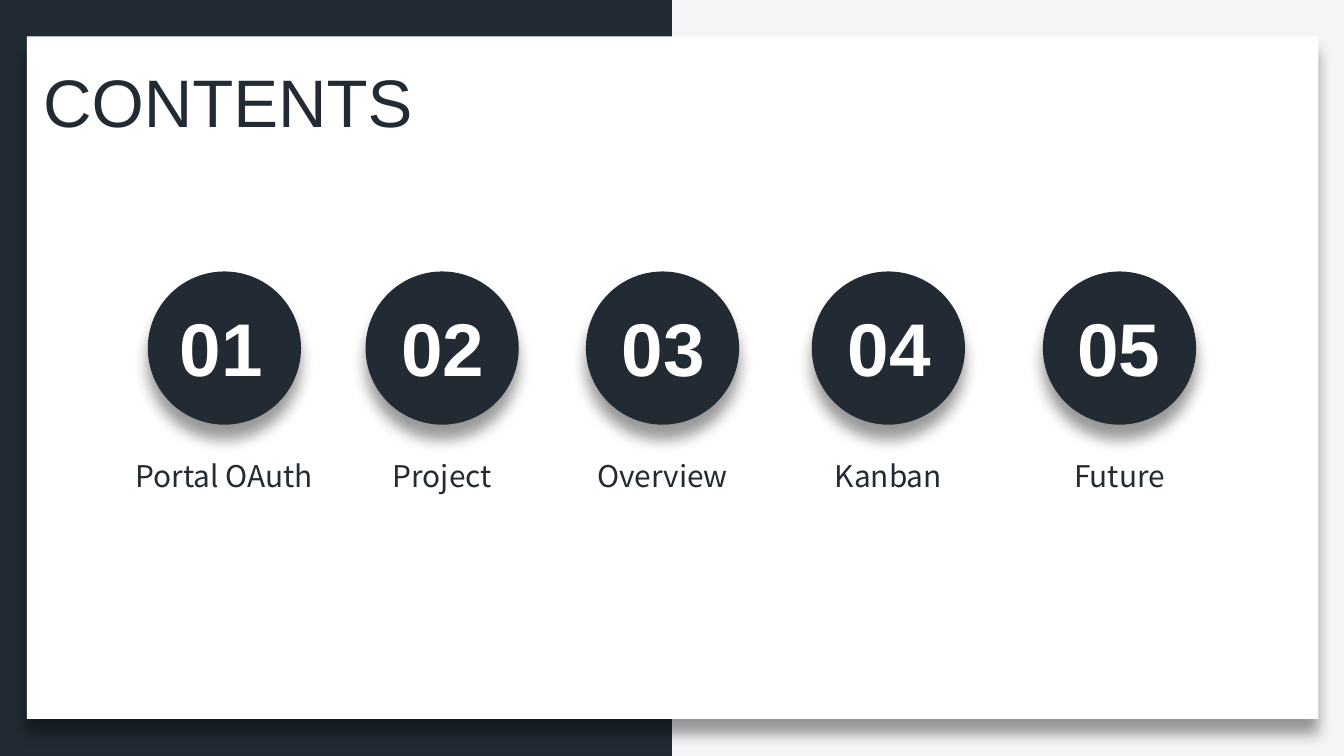
from lxml import etree
from pptx import Presentation
from pptx.dml.color import RGBColor
from pptx.enum.shapes import MSO_SHAPE
from pptx.enum.text import MSO_ANCHOR, MSO_AUTO_SIZE, PP_ALIGN
from pptx.oxml.ns import qn
from pptx.util import Inches, Pt

RECT, OVAL = MSO_SHAPE.RECTANGLE, MSO_SHAPE.OVAL
LEFT, CENTER = PP_ALIGN.LEFT, PP_ALIGN.CENTER
TOP = MSO_ANCHOR.TOP
GROW = MSO_AUTO_SIZE.SHAPE_TO_FIT_TEXT

NAVY = RGBColor(0x22, 0x2B, 0x34)
PALE = RGBColor(0xF6, 0xF4, 0xF7)
WHITE = RGBColor(0xFF, 0xFF, 0xFF)
HEAD_FONT = "Arial"
BODY_FONT = "Noto Sans CJK SC"

WIDTH = 10
HEIGHT = WIDTH * 9 / 16
DISC = 1.14
NUM_WIDTH = 0.83

# circle left, number left, label, label width
ITEMS = [
    (1.10, 1.23, "Portal OAuth", 1.73),
    (2.72, 2.88, "Project", 0.95),
    (4.36, 4.52, "Overview", 1.21),
    (6.04, 6.20, "Kanban", 1.01),
    (7.76, 7.91, "Future", 0.89),
]


def add_shadow(shape):
    """Cast a soft black shadow straight down."""
    effects = shape.element.spPr.find(qn("a:effectLst"))
    outer = etree.SubElement(
        effects, qn("a:outerShdw"), blurRad=str(Pt(8)), dist=str(Pt(8)),
        dir="5400000", algn="t", rotWithShape="0")
    color = etree.SubElement(outer, qn("a:srgbClr"), val="000000")
    etree.SubElement(color, qn("a:alpha"), val="40000")


def add_block(slide, kind, box, fill, shadow=False):
    shape = slide.shapes.add_shape(kind, *map(Inches, box))
    shape.shadow.inherit = False
    shape.fill.solid()
    shape.fill.fore_color.rgb = fill
    shape.line.fill.background()
    if shadow:
        add_shadow(shape)
    return shape


def write(shape, text, size, font, color, align, bold=False):
    frame = shape.text_frame
    frame.word_wrap = False
    frame.auto_size = GROW
    frame.vertical_anchor = TOP
    para = frame.paragraphs[0]
    para.alignment = align
    run = para.add_run()
    run.text = text
    run.font.size = Pt(size)
    run.font.name = font
    run.font.bold = bold
    run.font.color.rgb = color


def add_label(slide, box, *style, **extra):
    label = slide.shapes.add_textbox(*map(Inches, box))
    write(label, *style, **extra)


def add_frame(slide):
    """Lay the dark half and the white panel behind the title."""
    back = slide.background.fill
    back.solid()
    back.fore_color.rgb = PALE
    half = add_block(slide, RECT, (0, 0, WIDTH / 2, HEIGHT), NAVY)
    panel = add_block(slide, RECT, (0.2, 0.27, 9.61, 5.08), WHITE, True)
    for shape in (half, panel):
        slide.shapes.title.element.addprevious(shape.element)


def set_title(slide, text):
    title = slide.shapes.title
    title.left, title.top = Inches(0.22), Inches(0.4)
    title.width, title.height = Inches(2.98), Inches(0.71)
    write(title, text, 36, HEAD_FONT, NAVY, LEFT)


def add_item(slide, num, left, num_left, text, width):
    add_block(slide, OVAL, (left, 2.02, DISC, DISC), NAVY, True)
    text_left = left + (DISC - width) / 2
    add_label(slide, (text_left, 3.36, width, 0.37),
              text, 16, BODY_FONT, NAVY, CENTER)
    add_label(slide, (num_left, 2.2, NUM_WIDTH, 0.77),
              f"{num:02d}", 40, HEAD_FONT, WHITE, CENTER, bold=True)


def main():
    deck = Presentation()
    deck.slide_width, deck.slide_height = Inches(WIDTH), Inches(HEIGHT)
    slide = deck.slides.add_slide(deck.slide_layouts[5])
    add_frame(slide)
    set_title(slide, "CONTENTS")
    for num, item in enumerate(ITEMS, 1):
        add_item(slide, num, *item)
    deck.save("out.pptx")


if __name__ == "__main__":
    main()
